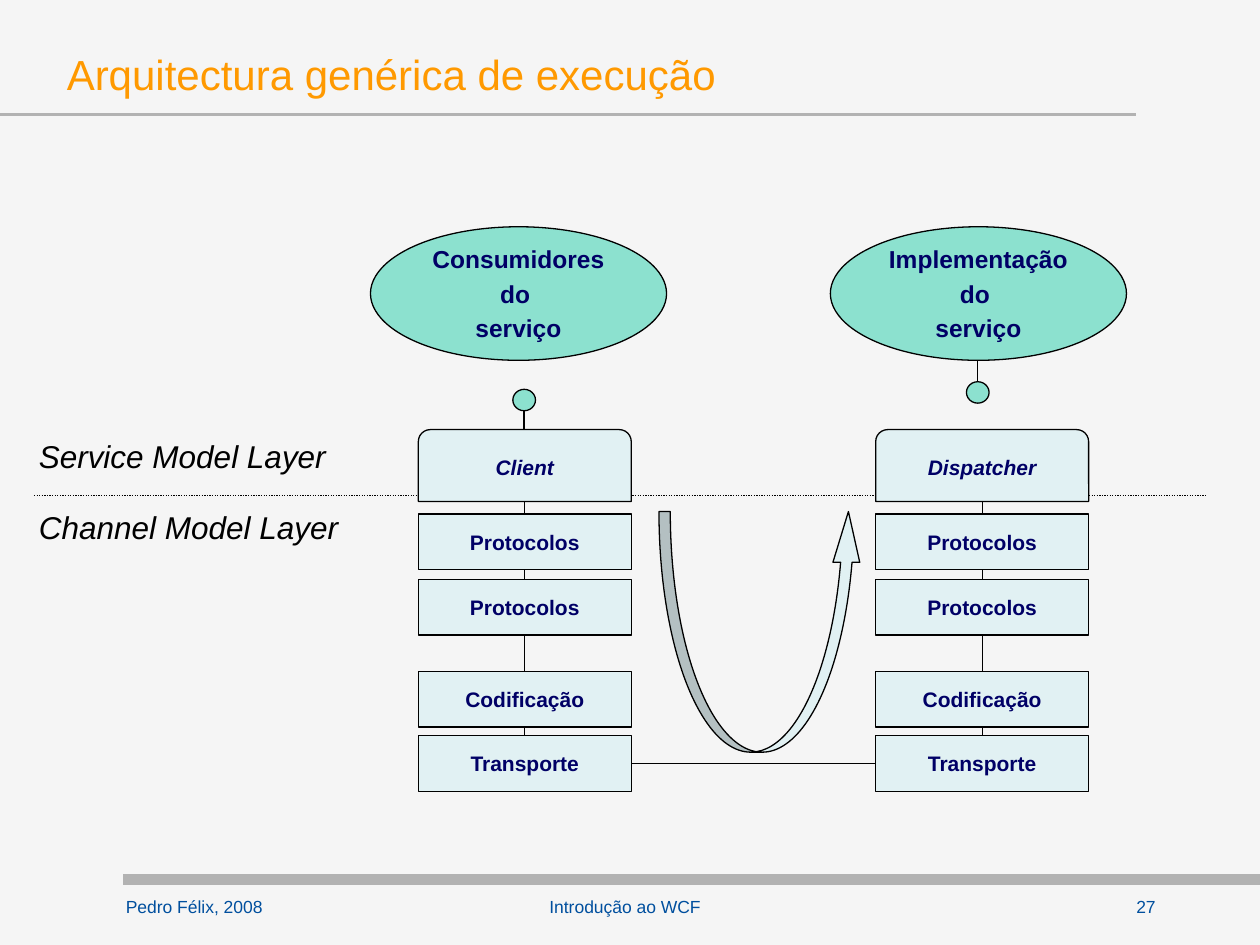
"""Build the slide on the generic execution architecture."""
from itertools import pairwise
from typing import NamedTuple

from lxml.etree import SubElement
from pptx import Presentation
from pptx.dml.color import RGBColor
from pptx.enum.dml import MSO_LINE
from pptx.enum.shapes import MSO_CONNECTOR, MSO_SHAPE
from pptx.enum.text import MSO_ANCHOR, MSO_AUTO_SIZE, PP_ALIGN
from pptx.oxml.ns import qn
from pptx.util import Inches, Pt

BLACK, GRAY, NAVY, BLUE = "000000", "B2B2B2", "000066", "004F9E"
PALE, MINT, ORANGE, PAPER = "E1F1F3", "8CE1CF", "FF9900", "F5F5F5"


class Box(NamedTuple):
    left: float
    top: float
    width: float
    height: float


class Layer(NamedTuple):
    name: str
    top: float
    height: float = 0.44


class Side(NamedTuple):
    left: float
    head: str
    user: str
    oval: Box
    dot: Box
    link: tuple[float, float]


class Label(NamedTuple):
    text: str
    box: Box
    size: int
    color: str
    align: PP_ALIGN = PP_ALIGN.LEFT
    slant: bool = False
    wrap: bool = True


WIDTH = 1.69
LAYERS = [
    Layer("Protocolos", 4.08),
    Layer("Protocolos", 4.6),
    Layer("Codificação", 5.33),
    Layer("Transporte", 5.84),
]
SIDES = [
    Side(3.32, "Client", "Consumidores", Box(2.94, 1.8, 2.35, 1.06),
         Box(4.07, 3.09, 0.18, 0.17), (3.26, 3.41)),
    Side(6.95, "Dispatcher", "Implementação", Box(6.59, 1.8, 2.35, 1.06),
         Box(7.67, 3.03, 0.18, 0.17), (2.86, 3.03)),
]
LABELS = [
    Label("Pedro Félix, 2008", Box(0.9, 7.06, 1.31, 0.32), 10, BLUE),
    Label("Introdução ao WCF", Box(2.48, 7.06, 4.96, 0.29), 10, BLUE, PP_ALIGN.CENTER),
    Label("27", Box(8.7, 7.06, 0.79, 0.32), 10, BLUE, PP_ALIGN.CENTER),
    Label("Service Model Layer", Box(0.21, 3.42, 2.5, 0.4), 18, BLACK, slant=True, wrap=False),
    Label("Channel Model Layer", Box(0.21, 3.98, 2.6, 0.4), 18, BLACK, slant=True, wrap=False),
]


def tint(color: str) -> RGBColor:
    return RGBColor.from_string(color)


def style(para, size: int, color: str, align=PP_ALIGN.LEFT, bold=False, slant=False) -> None:
    para.alignment = align
    font = para.font
    font.name, font.size, font.bold, font.italic = "Arial", Pt(size), bold, slant
    font.color.rgb = tint(color)


def rule(slide, start: tuple, end: tuple, color=BLACK, width=0.75):
    ends = [Inches(value) for value in (*start, *end)]
    line = slide.shapes.add_connector(MSO_CONNECTOR.STRAIGHT, *ends)
    line.line.color.rgb = tint(color)
    line.line.width = Pt(width)
    SubElement(line._element.spPr, qn("a:effectLst"))
    return line


def shape(slide, kind: MSO_SHAPE, box: Box, fill: str, lines=(), size=12, slant=False):
    item = slide.shapes.add_shape(kind, *map(Inches, box))
    item.shadow.inherit = False
    item.fill.solid()
    item.fill.fore_color.rgb = tint(fill)
    item.line.color.rgb = tint(BLACK)
    item.line.width = Pt(0.75)
    if lines:
        frame = item.text_frame
        frame.margin_left = frame.margin_right = 0
        frame.vertical_anchor = MSO_ANCHOR.MIDDLE
        frame.text = "\n".join(lines)
        for row, para in enumerate(frame.paragraphs):
            style(para, size, NAVY, PP_ALIGN.CENTER, bold=True, slant=slant)
            if row:
                para.space_before = Pt(3)
    return item


def label(slide, note: Label) -> None:
    frame = slide.shapes.add_textbox(*map(Inches, note.box)).text_frame
    frame.word_wrap = note.wrap
    frame.text = note.text
    style(frame.paragraphs[0], note.size, note.color, note.align, slant=note.slant)


def stack(slide, side: Side) -> None:
    mid = side.left + WIDTH / 2
    head = Layer(side.head, 3.41, 0.57)
    for upper, lower in pairwise([head, *LAYERS]):
        rule(slide, (mid, upper.top + upper.height), (mid, lower.top))
    for layer in LAYERS:
        box = Box(side.left, layer.top, WIDTH, layer.height)
        shape(slide, MSO_SHAPE.RECTANGLE, box, PALE, [layer.name])
    box = Box(side.left, head.top, WIDTH, head.height)
    shape(slide, MSO_SHAPE.ROUND_2_SAME_RECTANGLE, box, PALE, [side.head], slant=True)
    shape(slide, MSO_SHAPE.OVAL, side.oval, MINT, [side.user, "do ", "serviço"], 14)
    shape(slide, MSO_SHAPE.OVAL, side.dot, MINT)
    axis = side.dot.left + side.dot.width / 2
    rule(slide, (axis, side.link[0]), (axis, side.link[1]))


def heading(slide, text: str) -> None:
    title = slide.shapes.title
    title.left, title.top, title.width, title.height = map(Inches, (0.43, 0.28, 8.98, 0.61))
    frame = title.text_frame
    frame.text = text
    frame.auto_size = MSO_AUTO_SIZE.NONE
    frame.vertical_anchor = MSO_ANCHOR.MIDDLE
    style(frame.paragraphs[0], 24, ORANGE)


def main() -> None:
    deck = Presentation()
    deck.slide_width, deck.slide_height = Inches(10), Inches(7.5)
    slide = deck.slides.add_slide(deck.slide_layouts[5])
    slide.background.fill.solid()
    slide.background.fill.fore_color.rgb = tint(PAPER)
    heading(slide, "Arquitectura genérica de execução")
    rule(slide, (0.98, 6.98), (10, 6.98), GRAY, 6)
    rule(slide, (0, 0.91), (9.02, 0.91), GRAY, 1.5)
    rule(slide, (0.27, 3.93), (9.58, 3.93)).line.dash_style = MSO_LINE.ROUND_DOT
    rule(slide, (SIDES[0].left + WIDTH, 6.06), (SIDES[1].left, 6.06))
    for note in LABELS:
        label(slide, note)
    for side in SIDES:
        stack(slide, side)
    arrow = shape(slide, MSO_SHAPE.CURVED_UP_ARROW, Box(5.23, 4.06, 1.61, 1.91), PALE)
    for index, value in enumerate((0.056, 0.132, 0.25)):
        arrow.adjustments[index] = value
    deck.save("out.pptx")


if __name__ == "__main__":
    main()
